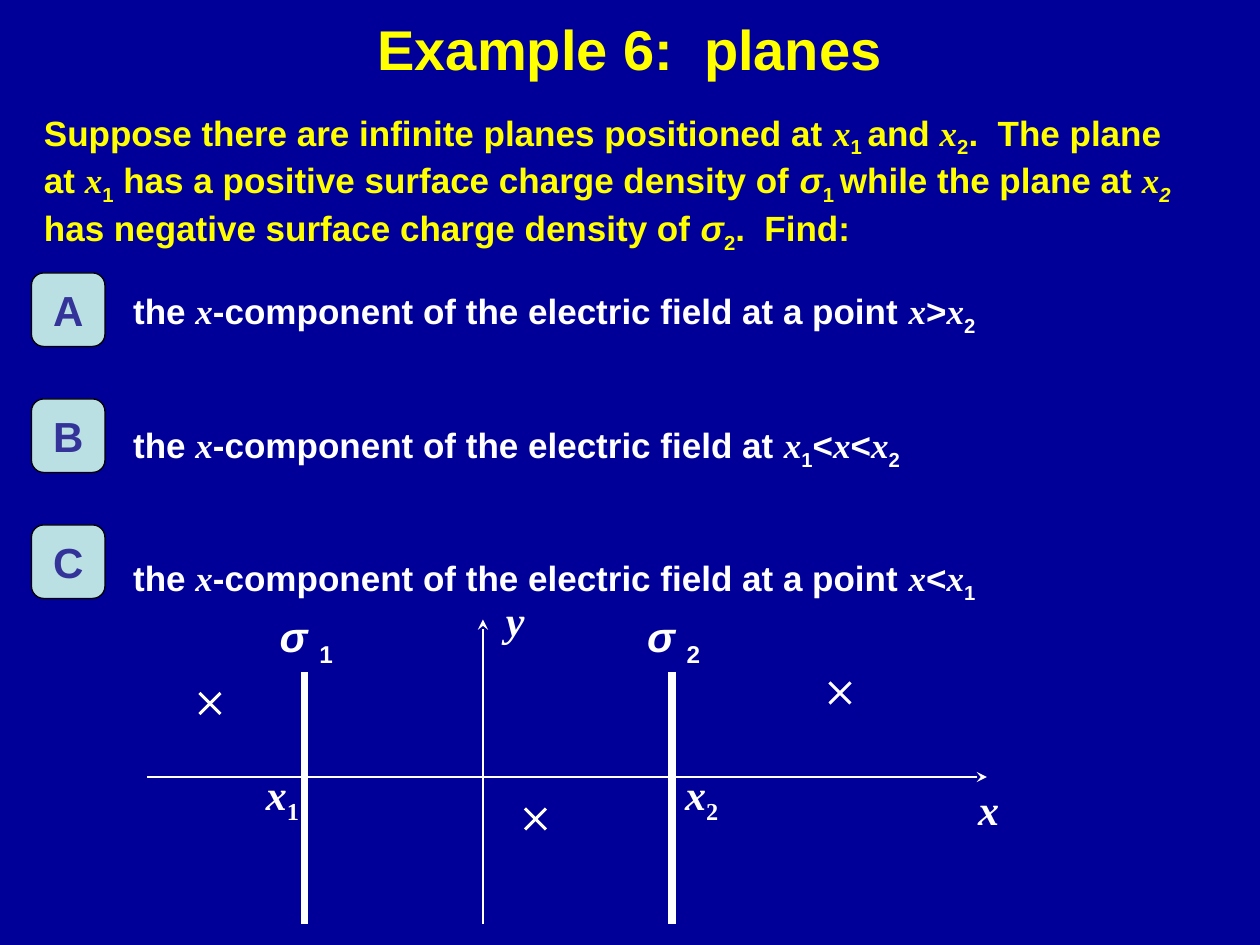
from dataclasses import dataclass

from lxml import etree
from pptx import Presentation
from pptx import util as u
from pptx.dml.color import RGBColor
from pptx.enum import shapes, text
from pptx.oxml import ns


@dataclass(frozen=True)
class Theme:
    back: str = "000099"
    head: str = "FFFF00"
    ink: str = "FFFFFF"
    tile: str = "BBE0E3"
    mark: str = "333399"
    edge: str = "000000"
    sans: str = "Arial"
    serif: str = "Times New Roman"
    big: float = 32
    mid: float = 24
    body: float = 20


THEME = Theme()

# First sign of a part -> (font, italic, subscript)
STYLES = {
    "/": (THEME.serif, True, False),
    "~": (THEME.sans, True, False),
    "_": (THEME.sans, False, True),
    "&": (THEME.sans, True, True),
    "%": (THEME.serif, False, True),
}
PLAIN = (THEME.sans, False, False)


def rgb(code):
    return RGBColor.from_string(code)


def apply(obj, vals):
    for name, val in vals.items():
        setattr(obj, name, val)


class Board:
    def __init__(self, slide, theme):
        self.slide, self.theme = slide, theme
        fill = slide.background.fill
        fill.solid()
        fill.fore_color.rgb = rgb(theme.back)

    def words(self, shape, lines, size, color, gap=0, **frame):
        """Fill a shape with lines whose parts are split by '|'."""
        tf = shape.text_frame
        apply(tf, {"word_wrap": True, "auto_size": text.MSO_AUTO_SIZE.NONE,
                   "vertical_anchor": text.MSO_ANCHOR.MIDDLE})
        align = frame.pop("align", text.PP_ALIGN.CENTER)
        apply(tf, frame)
        for i, line in enumerate(lines):
            para = tf.add_paragraph() if i else tf.paragraphs[0]
            apply(para, {"alignment": align, "space_before": u.Pt(gap if i else 0)})
            for part in line.split("|"):
                face, slant, sub = STYLES.get(part[0], PLAIN)
                run = para.add_run()
                run.text = part[1:] if part[0] in STYLES else part
                apply(run.font, {"name": face, "size": u.Pt(size),
                                 "bold": True, "italic": slant})
                run.font.color.rgb = rgb(color)
                if sub:
                    run.font._element.set("baseline", "-25000")

    def title(self, line, x, y, w, h):
        shape = self.slide.shapes.title
        apply(shape, {"left": u.Pt(x), "top": u.Pt(y),
                      "width": u.Pt(w), "height": u.Pt(h)})
        self.words(shape, [line], self.theme.big, self.theme.head)

    def block(self, lines, x, y, w, h, color, gap=0):
        box = self.slide.shapes.add_textbox(*map(u.Pt, (x, y, w, h)))
        self.words(box, lines, self.theme.body, color, gap,
                   align=text.PP_ALIGN.LEFT, vertical_anchor=text.MSO_ANCHOR.TOP)

    def label(self, line, x, y, w, h):
        box = self.slide.shapes.add_textbox(*map(u.Pt, (x, y, w, h)))
        self.words(box, [line], self.theme.mid, self.theme.ink, word_wrap=False)

    def tile(self, line, x, y, side):
        box = self.slide.shapes.add_shape(
            shapes.MSO_SHAPE.ROUNDED_RECTANGLE, *map(u.Pt, (x, y, side, side)))
        box.shadow.inherit = False
        box.fill.solid()
        box.fill.fore_color.rgb = rgb(self.theme.tile)
        box.line.color.rgb = rgb(self.theme.edge)
        box.line.width = u.Pt(0.75)
        self.words(box, [line], self.theme.mid, self.theme.mark, word_wrap=False)

    def line(self, x1, y1, x2, y2, width, arrow=False, home=None):
        home = home or self.slide.shapes
        conn = home.add_connector(
            shapes.MSO_CONNECTOR.STRAIGHT, *map(u.Pt, (x1, y1, x2, y2)))
        conn.line.color.rgb = rgb(self.theme.ink)
        conn.line.width = u.Pt(width)
        if arrow:
            edge = conn._element.spPr.find(ns.qn("a:ln"))
            tip = etree.SubElement(edge, ns.qn("a:tailEnd"))
            tip.set("type", "stealth")
        etree.SubElement(conn._element.spPr, ns.qn("a:effectLst"))

    def cross(self, x, y, side):
        home = self.slide.shapes.add_group_shape().shapes
        self.line(x, y, x + side, y + side, 1.75, home=home)
        self.line(x + side, y, x, y + side, 1.75, home=home)


def main():
    prs = Presentation()
    prs.slide_width, prs.slide_height = u.Pt(720), u.Pt(540)
    board = Board(prs.slides.add_slide(prs.slide_layouts[5]), THEME)

    # Title and problem
    board.title("Example 6:  planes", 54, 0, 612, 55)
    board.block(
        ["Suppose there are infinite planes positioned at |/x|_1 |and |/x|_2|"
         ".  The plane at |/x|_1| has a positive surface charge density of |~σ|_1 |"
         "while the plane at |/x|&2 |has negative surface charge density of |~σ|_2|"
         ".  Find:"],
        18, 60, 660, 89, THEME.head)

    # Questions with their letter tiles
    stem = "the |/x|-component of the electric field at "
    board.block(
        [stem + "a point |/x|>|/x|_2",
         stem + "|/x|_1|<|/x|<|/x|_2",
         stem + "a point |/x|<|/x|_1"],
        69, 162, 615, 187, THEME.ink, gap=49)
    for i, letter in enumerate("ABC"):
        board.tile(letter, 18, 156 + 72 * i, 42)

    # Axes
    board.line(276, 528, 276, 354, 1, arrow=True)
    board.line(84, 444, 564, 444, 1, arrow=True)
    board.label("/x", 552, 444, 26, 36)
    board.label("/y", 282, 336, 25, 36)

    # Charged planes: number, place, left edge of the x label
    for num, x, left in ((1, 174, 145), (2, 384, 384.5)):
        board.line(x, 384, x, 528, 4.5)
        board.label(f"~σ |_{num}", x - 23, 345.5, 48, 40)
        board.label(f"/x|%{num}", left, 435.5, 33, 40)

    # Field points
    for x, y in ((114, 396), (300, 462), (474, 390)):
        board.cross(x, y, 12)

    prs.save("out.pptx")


if __name__ == "__main__":
    main()
